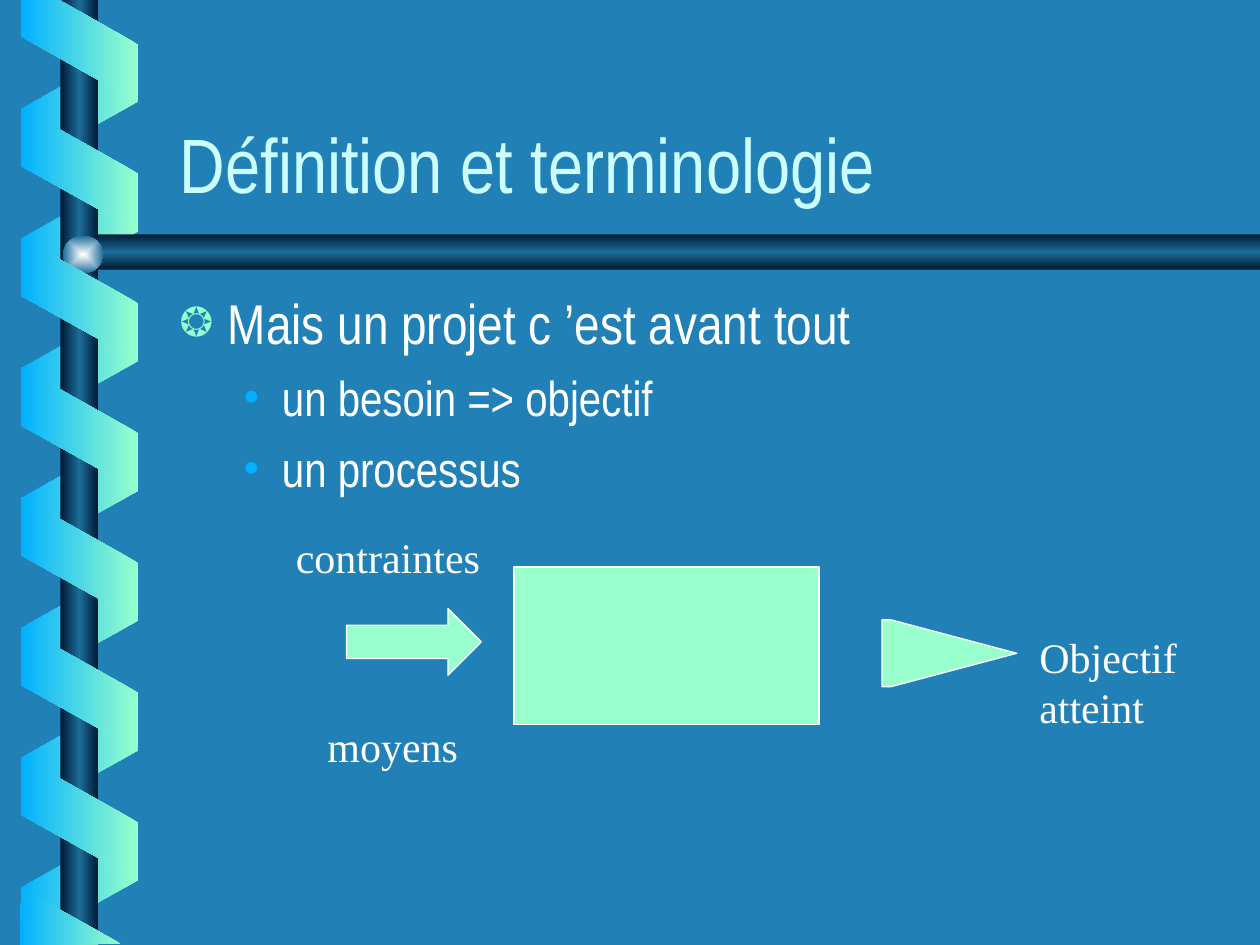
from dataclasses import dataclass

from pptx import Presentation
from pptx.dml.color import RGBColor
from pptx.enum.shapes import MSO_SHAPE
from pptx.enum.text import MSO_ANCHOR, MSO_AUTO_SIZE
from pptx.oxml import parse_xml
from pptx.oxml.ns import nsdecls, qn
from pptx.util import Inches, Pt

RECT = MSO_SHAPE.RECTANGLE
OVAL = MSO_SHAPE.OVAL
ARROW = MSO_SHAPE.RIGHT_ARROW
BAND = MSO_SHAPE.PARALLELOGRAM
TOP, BOTTOM = MSO_ANCHOR.TOP, MSO_ANCHOR.BOTTOM
FIXED, GROW = MSO_AUTO_SIZE.NONE, MSO_AUTO_SIZE.SHAPE_TO_FIT_TEXT


@dataclass(frozen=True)
class Theme:
    back: str = "2181B7"
    title: str = "CCFFFF"
    text: str = "FFFFFF"
    mint: str = "99FFCC"
    azure: str = "01B0FF"
    navy: str = "001932"
    steel: str = "1C6D9A"
    glow: str = "FEFFFF"
    heading_font: str = "Arial Narrow"
    label_font: str = "Times New Roman"
    title_size: int = 44
    body_size: int = 32
    sub_size: int = 28
    label_size: int = 24


class Deck:
    def __init__(self, theme):
        self.theme = theme
        self.prs = Presentation()
        self.prs.slide_width, self.prs.slide_height = Inches(10), Inches(7.5)
        self.s = self.prs.slides.add_slide(self.prs.slide_layouts[6])
        fill = self.s.background.fill
        fill.solid()
        fill.fore_color.rgb = RGBColor.from_string(theme.back)

    def gradient(self, sp, colors, angle=None):
        """Evenly spaced stops; without an angle the gradient grows from the centre."""
        last = len(colors) - 1
        stops = "".join(
            f'<a:gs pos="{i * 100000 // last}"><a:srgbClr val="{c}"/></a:gs>'
            for i, c in enumerate(colors))
        if angle is None:
            run = ('<a:path path="rect"><a:fillToRect l="50000" t="50000" '
                   'r="50000" b="50000"/></a:path>')
        else:
            run = f'<a:lin ang="{angle * 60000}" scaled="0"/>'
        grad = parse_xml(f'<a:gradFill {nsdecls("a")} rotWithShape="0">'
                         f'<a:gsLst>{stops}</a:gsLst>{run}</a:gradFill>')
        sp.fill.background()
        spPr = sp._element.spPr
        spPr.replace(spPr.find(qn("a:noFill")), grad)
        sp.line.fill.background()
        sp.shadow.inherit = False

    def shape(self, kind, box, adj=()):
        sp = self.s.shapes.add_shape(kind, *map(Inches, box))
        sp.shadow.inherit = False
        for i, value in enumerate(adj):
            sp.adjustments[i] = value
        return sp

    def block(self, kind, box, adj=()):
        sp = self.shape(kind, box, adj)
        sp.fill.solid()
        sp.fill.fore_color.rgb = RGBColor.from_string(self.theme.mint)
        sp.line.color.rgb = RGBColor.from_string(self.theme.text)
        sp.line.width = Pt(0.75)

    def band(self, top, rotation, colors, flip=False):
        sp = self.shape(BAND, (0.14, top, 0.98, 0.93), (0.56,))
        sp.rotation = rotation
        if flip:
            sp._element.spPr.find(qn("a:xfrm")).set("flipH", "1")
        self.gradient(sp, colors, 180)

    def outline(self, points, colors, angle):
        pts = [(Inches(x), Inches(y)) for x, y in points]
        builder = self.s.shapes.build_freeform(*pts[0])
        builder.add_line_segments(pts[1:], close=True)
        self.gradient(builder.convert_to_shape(), colors, angle)

    def bullet(self, p, char, color, percent, left, hang):
        pPr = p._p.get_or_add_pPr()
        pPr.set("marL", str(Inches(left)))
        pPr.set("indent", str(-Inches(hang)))
        for xml in (f'<a:buClr {nsdecls("a")}><a:srgbClr val="{color}"/></a:buClr>',
                    f'<a:buSzPct {nsdecls("a")} val="{percent * 1000}"/>',
                    f'<a:buFont {nsdecls("a")} typeface="{self.theme.label_font}"/>',
                    f'<a:buChar {nsdecls("a")} char="{char}"/>'):
            pPr.append(parse_xml(xml))

    def text(self, box, paragraphs, font, color, wrap=True, anchor=TOP, fit=FIXED):
        """Each paragraph is (text, size, space before, level, bullet or None)."""
        tf = self.s.shapes.add_textbox(*map(Inches, box)).text_frame
        frame = {"word_wrap": wrap, "vertical_anchor": anchor, "auto_size": fit}
        for name, value in frame.items():
            setattr(tf, name, value)
        for i, (text, size, before, level, bullet) in enumerate(paragraphs):
            p = tf.add_paragraph() if i else tf.paragraphs[0]
            p.level = level
            if bullet:
                self.bullet(p, *bullet)
            if i:
                p.space_before = Pt(before)
            r = p.add_run()
            r.text = text
            for name, value in {"name": font, "size": Pt(size)}.items():
                setattr(r.font, name, value)
            r.font.color.rgb = RGBColor.from_string(color)

    def label(self, box, *lines):
        t = self.theme
        self.text(box, [(line, t.label_size, 0, 0, None) for line in lines],
                  t.label_font, t.text, wrap=False, fit=GROW)


def main():
    t = Theme()
    deck = Deck(t)
    pitch = 1.03
    rod = (t.navy, t.steel, t.navy)
    ribbon = (t.mint, t.azure)

    # Ribbon behind the rod
    for i in range(7):
        deck.band(0.37 + i * pitch, 90, ribbon[::-1], flip=True)

    # Vertical rod, horizontal rod and joint
    deck.gradient(deck.shape(RECT, (0.48, 0, 0.3, 7.5)), rod, 180)
    deck.outline([(10, 1.86), (0.76, 1.86), (0.6, 2), (0.76, 2.14), (10, 2.14)], rod, 90)
    deck.gradient(deck.shape(OVAL, (0.5, 1.87, 0.32, 0.3)), (t.glow, t.steel))

    # Ribbon in front of the rod, with its cut ends
    for i in range(6):
        deck.band(0.88 + i * pitch, 270, ribbon)
    deck.outline([(0.17, 0), (0.17, 0.29), (1.09, 0.81), (1.09, 0.35), (0.47, 0)],
                 ribbon, 180)
    deck.outline([(0.96, 7.49), (0.17, 7.05), (0.16, 7.5)], ribbon, 180)

    # Title and bullets
    deck.text((1.33, 0.46, 8.5, 1.25),
              [("Définition et terminologie", t.title_size, 0, 0, None)],
              t.heading_font, t.title, anchor=BOTTOM)
    flower = ("❂", t.mint, 75, 0.38, 0.38)
    dot = ("•", t.azure, 100, 0.81, 0.31)
    deck.text((1.33, 2.24, 8.5, 4.5),
              [("Mais un projet c ’est avant tout", t.body_size, 0, 0, flower),
               ("un besoin => objectif", t.sub_size, 7, 1, dot),
               ("un processus", t.sub_size, 7, 1, dot)],
              t.heading_font, t.text)

    # Process diagram
    deck.label((2.5, 5.67, 1.25, 0.5), "moyens")
    deck.label((2.25, 4.17, 1.66, 0.5), "contraintes")
    deck.block(RECT, (4.08, 4.5, 2.42, 1.25))
    deck.block(ARROW, (2.75, 4.83, 1.07, 0.53), (0.5, 0.5))
    deck.block(ARROW, (7, 4.92, 1.07, 0.53), (1, 1.88))
    deck.label((8.15, 4.96, 1.29, 0.9), "Objectif", "atteint")

    deck.prs.save("out.pptx")


if __name__ == "__main__":
    main()
